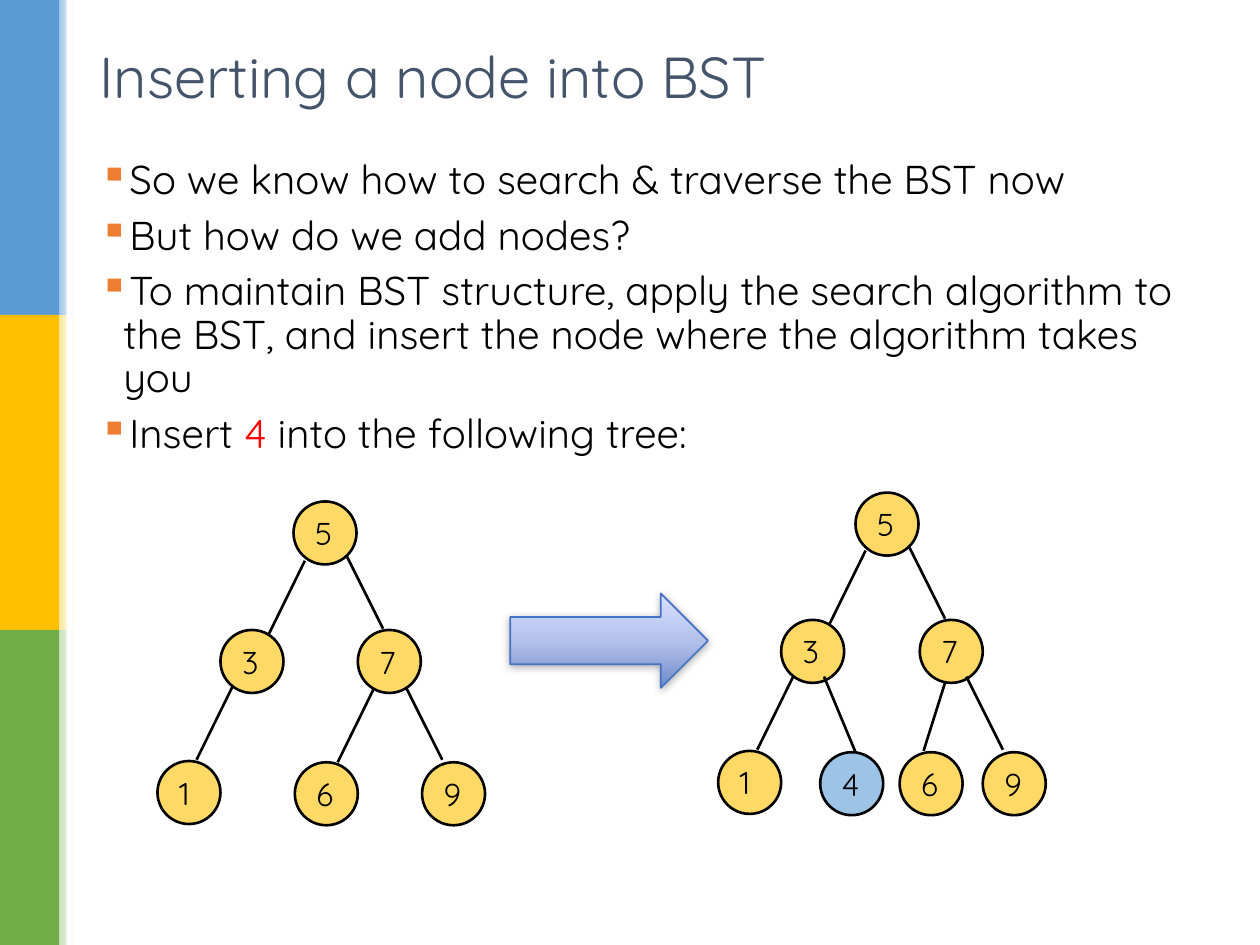
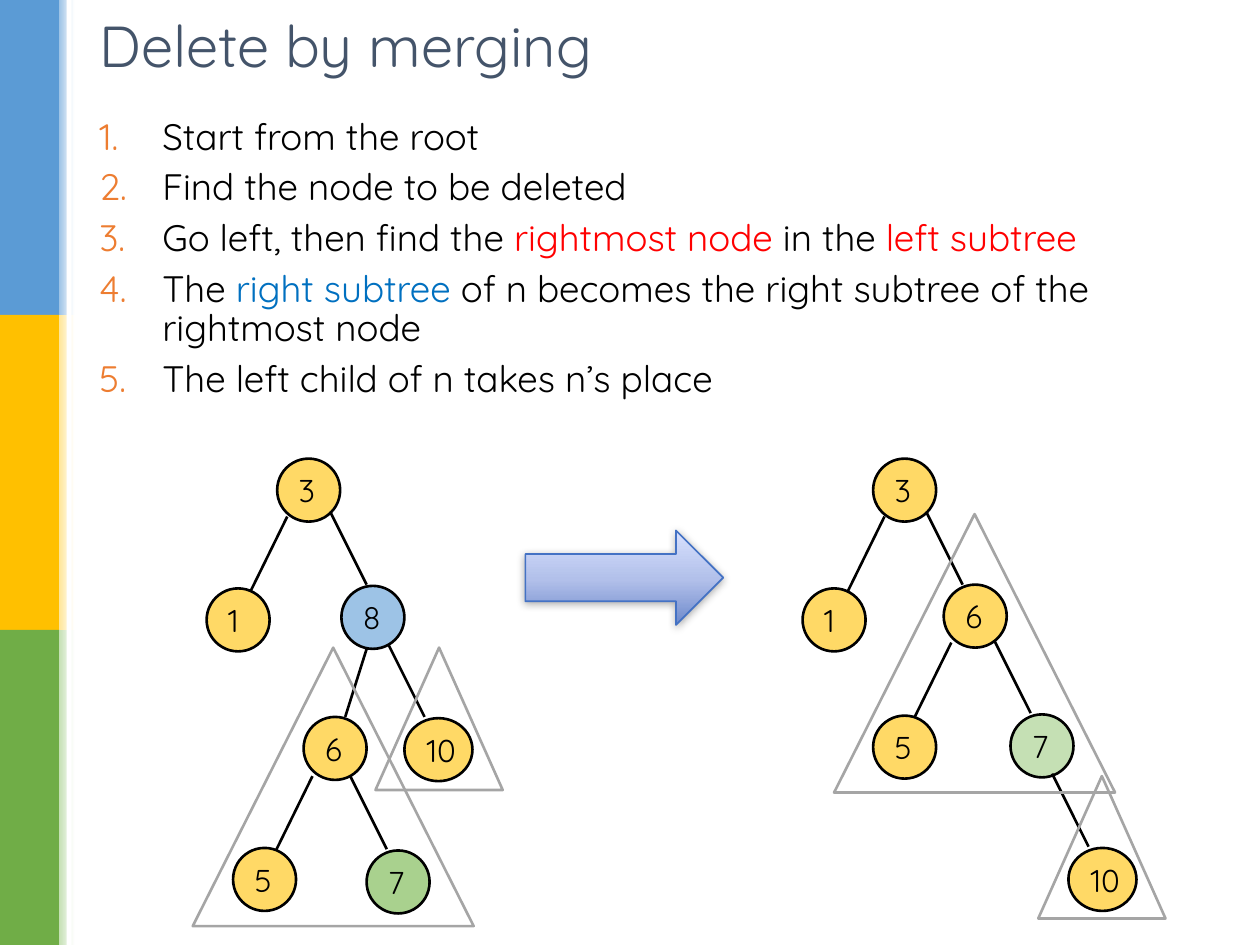
from dataclasses import dataclass
from lxml import etree
from pptx import Presentation, util as u
from pptx.dml.color import RGBColor
from pptx.enum import shapes, text
from pptx.oxml import ns


@dataclass(frozen=True)
class Theme:
    font: str = "Quicksand"
    ink: str = "000000"
    title: str = "44546A"
    mark: str = "ED7D31"
    red: str = "FF0000"
    blue: str = "0070C0"
    white: str = "FFFFFF"
    gold: str = "FFD966"
    sky: str = "9DC3E6"
    leaf: str = "A9D18E"
    mint: str = "C5E0B4"
    gray: str = "A5A5A5"
    edge: str = "4472C4"
    bands: tuple = (("5B9BD5", "9DC3E6"), ("FFC000", "FFE699"), ("70AD47", "C5E0B4"))
    arrow: tuple = ((0, "6D89CB"), (48, "B2C0EA"), (100, "D8E1FE"))
    head: int = 33
    label: int = 18
    line: float = 1.5


T = Theme()
KIND = shapes.MSO_SHAPE
NODE = 0.5
WIDE = 0.54
SPAN = {"left": (-0.29, 0.59), "right": (0.29, 0.58),
        "steep": (-0.17, 0.54), "new": (0.25, 0.6)}

SLIDES = [
    {
        "title": ("Inserting a node into BST", 0.26),
        "top": 1.22, "size": 23, "indent": 0.19, "bullet": ("buChar", {"char": "▪"}),
        "body": [
            [("So we know how to search & traverse the BST now", T.ink)],
            [("But how do we add nodes?", T.ink)],
            [("To maintain BST structure, apply the search algorithm to the BST, "
              "and insert the node where the algorithm takes you", T.ink)],
            [("Insert ", T.ink), ("4", T.red), (" into the following tree:", T.ink)],
        ],
        "nodes": [
            ("5", 2.33, 3.98, T.gold), ("3", 1.75, 5, T.gold), ("7", 2.84, 5, T.gold),
            ("1", 1.25, 6.04, T.gold), ("6", 2.34, 6.05, T.gold), ("9", 3.35, 6.05, T.gold),
            ("5", 6.79, 3.91, T.gold), ("3", 6.2, 4.92, T.gold), ("7", 7.3, 4.92, T.gold),
            ("1", 5.7, 5.96, T.gold), ("4", 6.51, 5.97, T.sky),
            ("6", 7.14, 5.97, T.gold), ("9", 7.8, 5.97, T.gold),
        ],
        "links": {
            "left": [(2.42, 4.45), (1.85, 5.44), (2.97, 5.46), (6.87, 4.37), (6.3, 5.36)],
            "right": [(2.75, 4.41), (3.22, 5.45), (7.21, 4.33), (7.67, 5.37)],
            "steep": [(7.5, 5.42)],
            "new": [(6.54, 5.37)],
        },
        "arrow": (4.05, 4.71),
        "trees": [],
    },
    {
        "title": ("Delete by merging", 0.01),
        "top": 0.89, "size": 21, "indent": 0.5,
        "bullet": ("buAutoNum", {"type": "arabicPeriod"}),
        "body": [
            [("Start from the root", T.ink)],
            [("Find the node to be deleted", T.ink)],
            [("Go left, then find the ", T.ink), ("rightmost node ", T.red),
             ("in the ", T.ink), ("left subtree", T.red)],
            [("The ", T.ink), ("right subtree ", T.blue),
             ("of n becomes the right subtree of the rightmost node", T.ink)],
            [("The left child of n takes n’s place", T.ink)],
        ],
        "nodes": [
            ("3", 2.2, 3.64, T.gold), ("1", 1.64, 4.67, T.gold), ("8", 2.71, 4.65, T.sky),
            ("6", 2.41, 5.69, T.gold), ("10", 3.21, 5.7, T.gold),
            ("5", 1.85, 6.73, T.gold), ("7", 2.91, 6.75, T.leaf),
            ("3", 6.93, 3.64, T.gold), ("1", 6.37, 4.67, T.gold), ("6", 7.49, 4.64, T.gold),
            ("5", 6.93, 5.68, T.gold), ("7", 8.02, 5.67, T.mint), ("10", 8.48, 6.73, T.gold),
        ],
        "links": {
            "left": [(2.28, 4.1), (2.48, 6.16), (7.02, 4.1), (7.55, 5.1)],
            "right": [(2.62, 4.06), (3.08, 5.11), (2.78, 6.16),
                      (7.35, 4.06), (7.89, 5.08), (8.35, 6.14)],
            "steep": [(2.91, 5.15)],
        },
        "arrow": (4.17, 4.21),
        "trees": [(6.62, 4.08, 2.23, 2.21), (1.53, 5.14, 2.23, 2.21),
                  (2.98, 5.14, 1.01, 1.13), (8.24, 6.16, 1.01, 1.13)],
    },
]


def rgb(code):
    return RGBColor.from_string(code)


def sub(node, tag, **attrs):
    return etree.SubElement(node, ns.qn("a:" + tag), attrs)


def inch(*nums):
    return [u.Inches(n) for n in nums]


def shape(slide, kind, box, fill=None, line=None, width=T.line):
    item = slide.shapes.add_shape(kind, *inch(*box))
    item.shadow.inherit = False
    if fill:
        item.fill.solid()
        item.fill.fore_color.rgb = rgb(fill)
    else:
        item.fill.background()
    if line:
        item.line.color.rgb = rgb(line)
        item.line.width = u.Pt(width)
    else:
        item.line.fill.background()
    return item


def blend(item, stops, angle):
    item.fill.gradient()
    item.fill.gradient_angle = angle
    group = item._element.spPr.find(".//" + ns.qn("a:gsLst"))
    for old in list(group):
        group.remove(old)
    for pos, code in stops:
        sub(sub(group, "gs", pos=str(pos * 1000)), "srgbClr", val=code)


def write(para, words, size, color):
    run = para.add_run()
    run.text = words
    run.font.name = T.font
    run.font.size = u.Pt(size)
    run.font.color.rgb = rgb(color)


def frame(slide, box):
    area = slide.shapes.add_textbox(*inch(*box)).text_frame
    area.word_wrap = True
    return area


def side(slide):
    for row, (dark, pale) in enumerate(T.bands):
        shape(slide, KIND.RECTANGLE, (0, row * 2.5, 0.47, 2.5), dark)
        fade = shape(slide, KIND.RECTANGLE, (0.47, row * 2.5, 0.12, 2.5))
        blend(fade, ((0, pale), (100, T.white)), 0)
    shape(slide, KIND.RECTANGLE, (0.53, 0, 0.04, 7.5), T.white)


def head(slide, words, top):
    area = frame(slide, (0.69, top, 8.62, 0.68))
    area.vertical_anchor = text.MSO_ANCHOR.MIDDLE
    write(area.paragraphs[0], words, T.head, T.title)


def body(slide, page):
    area = frame(slide, (0.69, page["top"], 9, 7.26 - page["top"]))
    tag, attrs = page["bullet"]
    for row, runs in enumerate(page["body"]):
        para = area.add_paragraph() if row else area.paragraphs[0]
        para.line_spacing = 0.9
        para.space_after = u.Pt(0.3 * page["size"])
        props = para._p.get_or_add_pPr()
        gap = u.Inches(page["indent"])
        props.set("marL", str(gap))
        props.set("indent", str(-gap))
        sub(sub(props, "buClr"), "srgbClr", val=T.mark)
        sub(props, tag, **attrs)
        for words, color in runs:
            write(para, words, page["size"], color)


def node(slide, name, x, y, fill):
    width = WIDE if len(name) > 1 else NODE
    item = shape(slide, KIND.OVAL, (x, y, width, NODE), fill, T.ink)
    area = item.text_frame
    area.word_wrap = False
    area.vertical_anchor = text.MSO_ANCHOR.MIDDLE
    para = area.paragraphs[0]
    para.alignment = text.PP_ALIGN.LEFT
    write(para, name, T.label, T.ink)


def link(slide, x, y, run, drop):
    item = slide.shapes.add_connector(
        shapes.MSO_CONNECTOR.STRAIGHT, *inch(x, y, x + run, y + drop))
    item.line.color.rgb = rgb(T.ink)
    item.line.width = u.Pt(T.line)
    sub(item._element.spPr, "effectLst")


def arrow(slide, x, y):
    item = shape(slide, KIND.RIGHT_ARROW, (x, y, 1.57, 0.75), line=T.edge, width=1)
    blend(item, T.arrow, 90)
    glow = item._element.spPr.find(ns.qn("a:effectLst"))
    cast = sub(glow, "outerShdw", blurRad=str(u.Pt(5)), dist=str(u.Pt(1)),
               dir="5400000", algn="ctr", rotWithShape="0")
    sub(sub(cast, "srgbClr", val=T.ink), "alpha", val="32000")


def main():
    deck = Presentation()
    deck.slide_width, deck.slide_height = inch(10, 7.5)
    for page in SLIDES:
        slide = deck.slides.add_slide(deck.slide_layouts[6])
        side(slide)
        body(slide, page)
        head(slide, *page["title"])
        for item in page["nodes"]:
            node(slide, *item)
        for kind, starts in page["links"].items():
            for x, y in starts:
                link(slide, x, y, *SPAN[kind])
        arrow(slide, *page["arrow"])
        for box in page["trees"]:
            shape(slide, KIND.ISOSCELES_TRIANGLE, box, line=T.gray)
    deck.save("out.pptx")


if __name__ == "__main__":
    main()
